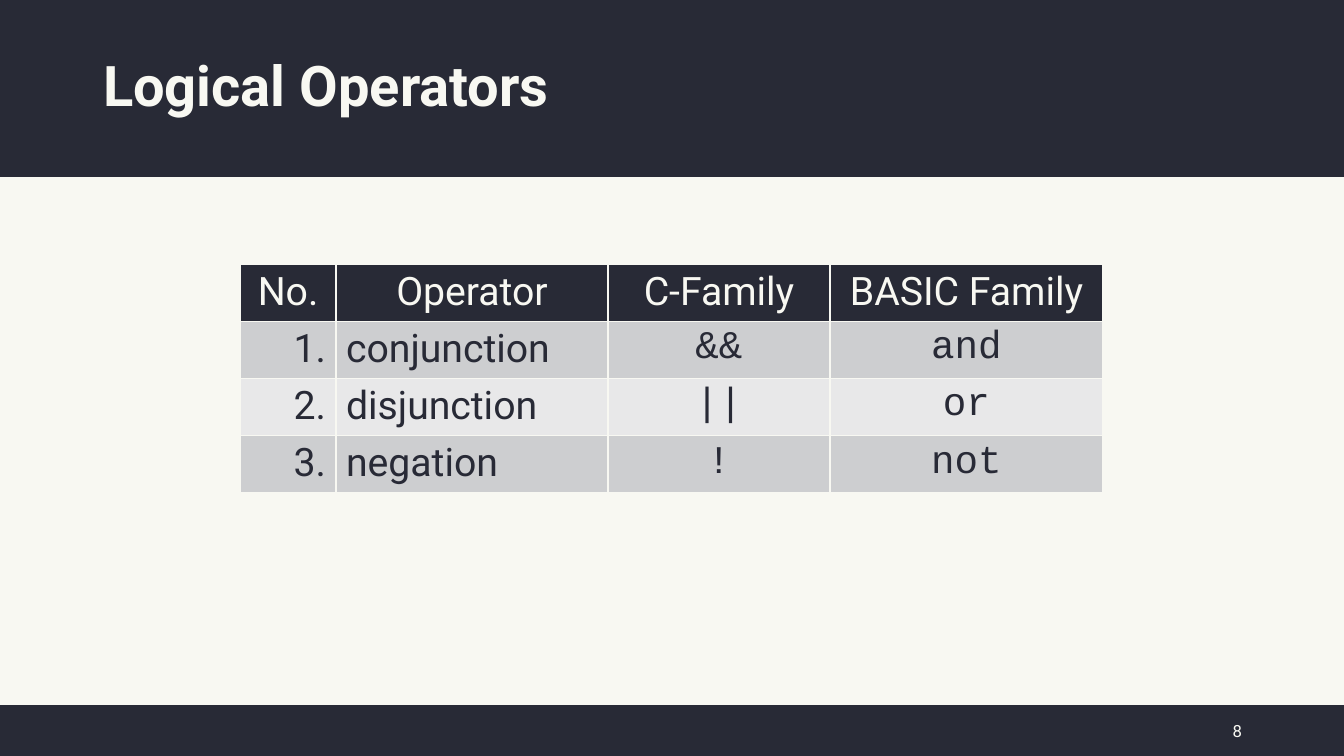
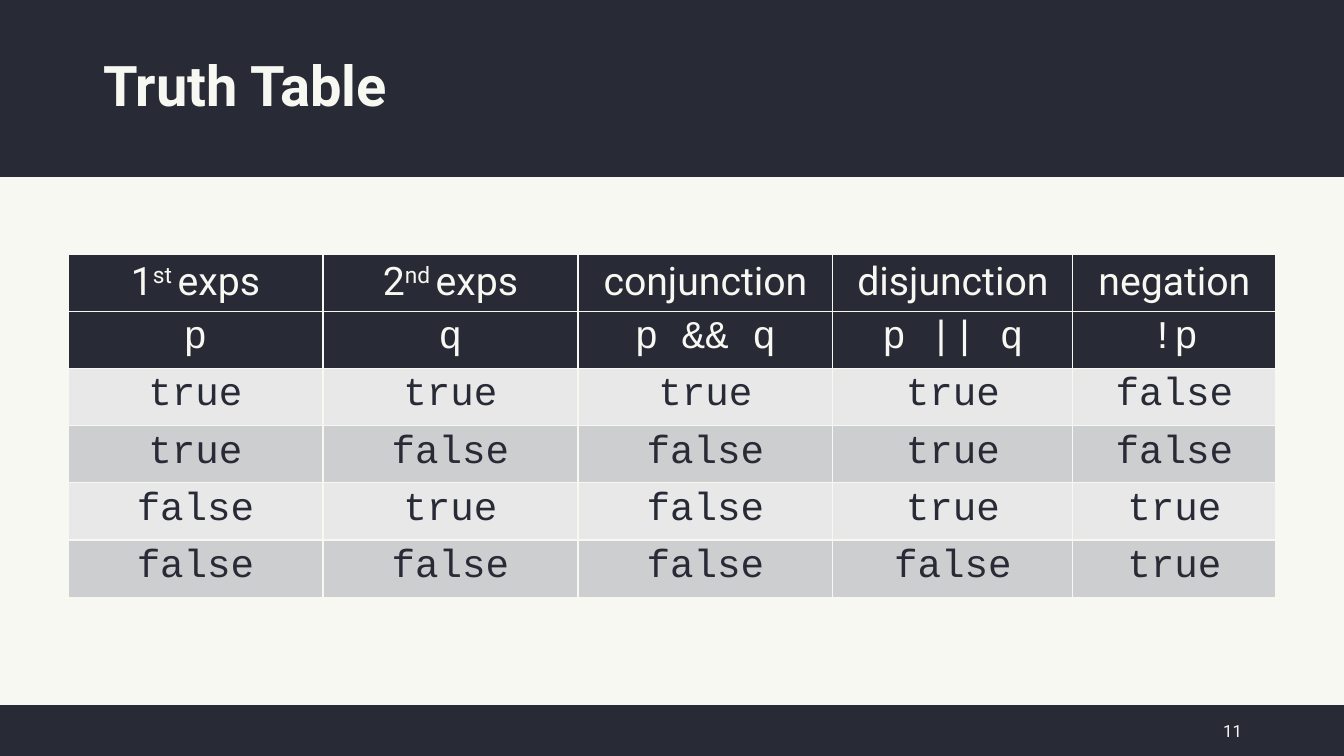
from dataclasses import dataclass
from typing import Any

from lxml.etree import SubElement
from pptx import Presentation
from pptx.dml.color import RGBColor
from pptx.enum.shapes import MSO_SHAPE
from pptx.enum.text import MSO_ANCHOR, PP_ALIGN
from pptx.oxml.ns import qn
from pptx.util import Emu, Pt

SCALE = 914400 / 100.8
WIDTH, HEIGHT = 1344, 756
TITLE_ONLY = 5
COLORS = {"dark": "282A36", "light": "F8F8F2", "odd": "CDCED0", "even": "E8E8E9"}
SANS, MONO = "Roboto", "Courier New"
ALIGN = {"l": PP_ALIGN.LEFT, "c": PP_ALIGN.CENTER, "r": PP_ALIGN.RIGHT}


@dataclass(frozen=True)
class Box:
    left: int
    top: int
    width: int
    height: int

    def emu(self) -> tuple[Emu, ...]:
        return tuple(px(n) for n in (self.left, self.top, self.width, self.height))


@dataclass(frozen=True)
class Grid:
    """A table; body cells from column `code` on are set in the code font."""
    left: int
    top: int
    cols: tuple[int, ...]
    rows: tuple[tuple[str, ...], ...]
    aligns: str
    heads: int
    code: int
    step: int


@dataclass(frozen=True)
class Page:
    title: str
    number: int
    grid: Grid


BANDS = (Box(0, 0, WIDTH, 177), Box(0, 705, WIDTH, 51))
TITLE = Box(93, 15, 1159, 146)
NUMBER = Box(1177, 711, 75, 40)
HEAD = 56

PAGES = (
    Page("Logical Operators", 8, Grid(
        240, 264, (96, 272, 222, 273),
        (
            ("No.", "Operator", "C-Family", "BASIC Family"),
            ("1.", "conjunction", "&&", "and"),
            ("2.", "disjunction", "||", "or"),
            ("3.", "negation", "!", "not"),
        ),
        aligns="rlcc", heads=1, code=2, step=56)),
    Page("Truth Table", 11, Grid(
        68, 254, (255, 255, 255, 240, 203),
        (
            ("1^st ^exps", "2^nd ^exps", "conjunction", "disjunction", "negation"),
            ("p", "q", "p && q", "p || q", "!p"),
            ("true", "true", "true", "true", "false"),
            ("true", "false", "false", "true", "false"),
            ("false", "true", "false", "true", "true"),
            ("false", "false", "false", "false", "true"),
        ),
        aligns="ccccc", heads=2, code=0, step=54)),
)


def px(count: int) -> Emu:
    return Emu(round(count * SCALE))


def rgb(name: str) -> RGBColor:
    return RGBColor.from_string(COLORS[name])


def paint(fill: Any, color: str) -> None:
    fill.solid()
    fill.fore_color.rgb = rgb(color)


def write(frame: Any, text: str, *, size: int, color: str = "light", font: str = SANS,
          bold: bool = False, align: str = "l", space: float | None = None) -> None:
    """Fill a text frame; parts between ^ marks are raised."""
    para = frame.paragraphs[0]
    para.alignment = ALIGN[align]
    if space:
        para.line_spacing = space
    for index, part in enumerate(text.split("^")):
        run = para.add_run()
        run.text = part
        run.font.size = Pt(size)
        run.font.name = font
        run.font.bold = bold
        run.font.color.rgb = rgb(color)
        if index % 2:
            run.font._element.set("baseline", "30000")


def edge(cell: Any) -> None:
    """Draw a thin light border on all four sides, ahead of the fill."""
    props = cell._tc.get_or_add_tcPr()
    for side in ("lnL", "lnR", "lnT", "lnB"):
        line = SubElement(props, qn(f"a:{side}"), w=str(Pt(1)))
        fill = SubElement(line, qn("a:solidFill"))
        SubElement(fill, qn("a:srgbClr"), val=COLORS["light"])


def add_grid(slide: Any, grid: Grid) -> None:
    heights = [HEAD] + [grid.step] * (len(grid.rows) - 1)
    box = Box(grid.left, grid.top, sum(grid.cols), sum(heights))
    table = slide.shapes.add_table(len(grid.rows), len(grid.cols), *box.emu()).table
    for col, width in zip(table.columns, grid.cols):
        col.width = px(width)
    for row, height in zip(table.rows, heights):
        row.height = px(height)
    for r, texts in enumerate(grid.rows):
        head = r < grid.heads
        back = "dark" if head else "odd" if r % 2 else "even"
        for c, text in enumerate(texts):
            cell = table.cell(r, c)
            edge(cell)
            paint(cell.fill, back)
            write(cell.text_frame, text, size=28,
                  color="light" if head else "dark",
                  font=MONO if r and c >= grid.code else SANS,
                  align="c" if head else grid.aligns[c])


def set_bands(layout: Any, slide: Any) -> None:
    """Give the layout its background and bands, and drop its footers."""
    paint(layout.background.fill, "light")
    for holder in list(layout.placeholders):
        if holder.placeholder_format.idx:
            holder._element.getparent().remove(holder._element)
    tree = layout.shapes._spTree
    for index, box in enumerate(BANDS):
        band = slide.shapes.add_shape(MSO_SHAPE.RECTANGLE, *box.emu())
        band.name = f"Band {index + 1}"
        band.shadow.inherit = False
        paint(band.fill, "dark")
        band.line.fill.background()
        tree.insert(2 + index, band._element)


def add_page(slide: Any, page: Page) -> None:
    title = slide.shapes.title
    title.left, title.top, title.width, title.height = TITLE.emu()
    title.text_frame.vertical_anchor = MSO_ANCHOR.MIDDLE
    write(title.text_frame, page.title, size=40, bold=True, space=0.9)
    number = slide.shapes.add_textbox(*NUMBER.emu()).text_frame
    number.word_wrap = True
    number.vertical_anchor = MSO_ANCHOR.MIDDLE
    write(number, str(page.number), size=12, align="r")
    add_grid(slide, page.grid)


def main() -> None:
    deck = Presentation()
    deck.slide_width, deck.slide_height = px(WIDTH), px(HEIGHT)
    layout = deck.slide_layouts[TITLE_ONLY]
    slides = [deck.slides.add_slide(layout) for _ in PAGES]
    set_bands(layout, slides[0])
    for slide, page in zip(slides, PAGES):
        add_page(slide, page)
    deck.save("out.pptx")


if __name__ == "__main__":
    main()
